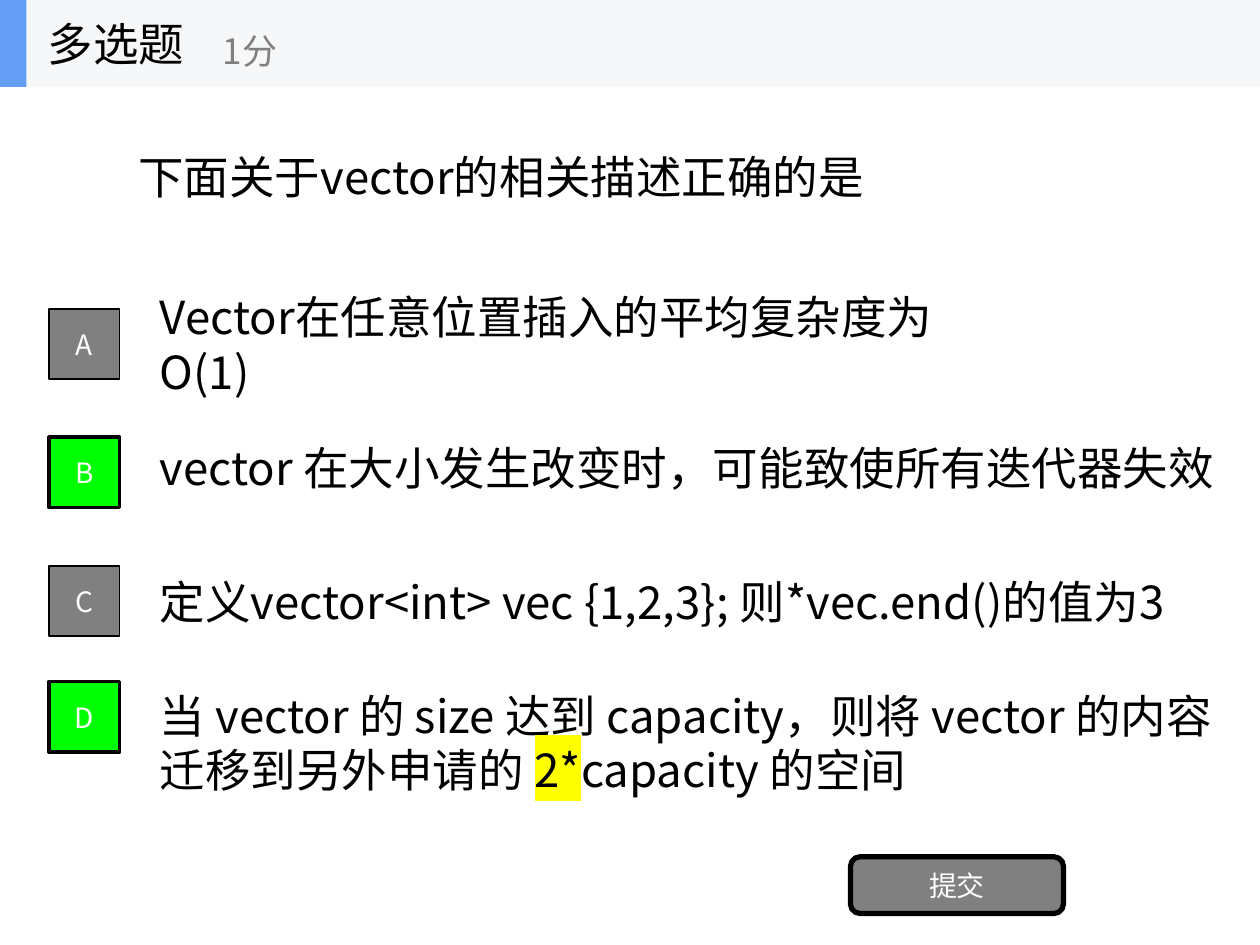
from dataclasses import dataclass

from lxml.etree import SubElement
from pptx import Presentation
from pptx.dml.color import RGBColor
from pptx.enum.shapes import MSO_SHAPE
from pptx.enum.text import MSO_ANCHOR, PP_ALIGN
from pptx.oxml.ns import qn
from pptx.util import Inches, Pt

FONT = "Noto Sans CJK SC"
BLACK = RGBColor(0x00, 0x00, 0x00)
WHITE = RGBColor(0xFF, 0xFF, 0xFF)
GRAY = RGBColor(0x80, 0x80, 0x80)
GREEN = RGBColor(0x00, 0xFF, 0x00)
BAR_GRAY = RGBColor(0xF6, 0xF7, 0xF8)
ACCENT_BLUE = RGBColor(0x63, 0x9E, 0xF4)
HIGHLIGHT = "FFFF00"
HEADER_HEIGHT = 0.69


@dataclass(frozen=True)
class Span:
    text: str
    highlighted: bool = False


@dataclass(frozen=True)
class Option:
    letter: str
    spans: tuple[Span, ...]
    text_top: float
    text_width: float
    badge_top: float
    correct: bool = False


OPTIONS = (
    Option("A", (Span("Vector在任意位置插入的平均复杂度为O(1)"),), 2.38, 7, 2.45),
    Option("B", (Span("vector 在大小发生改变时，可能致使所有迭代器失效"),), 3.36, 8.67, 3.47, True),
    Option("C", (Span("定义vector<int> vec {1,2,3}; 则*vec.end()的值为3"),), 4.42, 8.67, 4.49),
    Option(
        "D",
        (
            Span("当 vector 的 size 达到 capacity，则将 vector 的内容迁移到另外申请的 "),
            Span("2*", highlighted=True),
            Span("capacity 的空间"),
        ),
        5.54, 8.57, 5.41, True,
    ),
)


def write_text(shape, spans: tuple[Span, ...], size: float, color: RGBColor,
               align: PP_ALIGN = PP_ALIGN.LEFT) -> None:
    shape.text_frame.vertical_anchor = MSO_ANCHOR.MIDDLE
    para = shape.text_frame.paragraphs[0]
    para.alignment = align
    para.font.size = Pt(size)
    para.font.color.rgb = color
    para.font.name = FONT
    # Chinese characters take the East Asian typeface
    defaults = para._p.pPr.find(qn("a:defRPr"))
    SubElement(defaults, qn("a:ea"), typeface=FONT)
    for span in spans:
        run = para.add_run()
        run.text = span.text
        if span.highlighted:
            mark = SubElement(run._r.get_or_add_rPr(), qn("a:highlight"))
            SubElement(mark, qn("a:srgbClr"), val=HIGHLIGHT)


def add_text(shapes, spans: tuple[Span, ...], left: float, top: float, width: float,
             height: float, size: float = 26, color: RGBColor = BLACK,
             wrap: bool = True) -> None:
    box = shapes.add_textbox(Inches(left), Inches(top), Inches(width), Inches(height))
    box.text_frame.word_wrap = wrap
    write_text(box, spans, size, color)


def add_block(shapes, kind: MSO_SHAPE, left: float, top: float, width: float,
              height: float, fill: RGBColor, line_width: float = 0):
    block = shapes.add_shape(kind, Inches(left), Inches(top), Inches(width), Inches(height))
    block.shadow.inherit = False
    block.fill.solid()
    block.fill.fore_color.rgb = fill
    if line_width:
        block.line.color.rgb = BLACK
        block.line.width = Pt(line_width)
    else:
        block.line.fill.background()
    return block


def add_button(shapes, label: str, kind: MSO_SHAPE, left: float, top: float, width: float,
               height: float, fill: RGBColor, line_width: float) -> None:
    button = add_block(shapes, kind, left, top, width, height, fill, line_width)
    write_text(button, (Span(label),), 16, WHITE, PP_ALIGN.CENTER)


def add_option(shapes, option: Option) -> None:
    add_text(shapes, option.spans, 1.17, option.text_top, option.text_width, 0.7)
    fill, line_width = (GREEN, 2) if option.correct else (GRAY, 1)
    add_button(shapes, option.letter, MSO_SHAPE.RECTANGLE, 0.39, option.badge_top,
               0.56, 0.56, fill, line_width)


def add_header(shapes) -> None:
    header = shapes.add_group_shape().shapes
    add_block(header, MSO_SHAPE.RECTANGLE, 0, 0, 10, HEADER_HEIGHT, BAR_GRAY)
    add_block(header, MSO_SHAPE.RECTANGLE, 0, 0, 0.21, HEADER_HEIGHT, ACCENT_BLUE)
    add_text(header, (Span("多选题"),), 0.28, 0, 2.08, HEADER_HEIGHT, wrap=False)
    add_text(header, (Span("1分"),), 1.67, 0.12, 2.5, 0.56, 20, GRAY, wrap=False)


def main() -> None:
    deck = Presentation()
    deck.slide_width, deck.slide_height = Inches(10), Inches(7.5)
    page = deck.slides.add_slide(deck.slide_layouts[6])

    # Question and answer options
    add_text(page.shapes, (Span("下面关于vector的相关描述正确的是"),), 1, 0.69, 8, 1.41)
    for option in OPTIONS:
        add_option(page.shapes, option)

    # Submit button
    add_button(page.shapes, "提交", MSO_SHAPE.ROUNDED_RECTANGLE, 6.75, 6.8, 1.69, 0.45, GRAY, 3)

    # Header bar
    add_header(page.shapes)

    deck.save("out.pptx")


if __name__ == "__main__":
    main()
